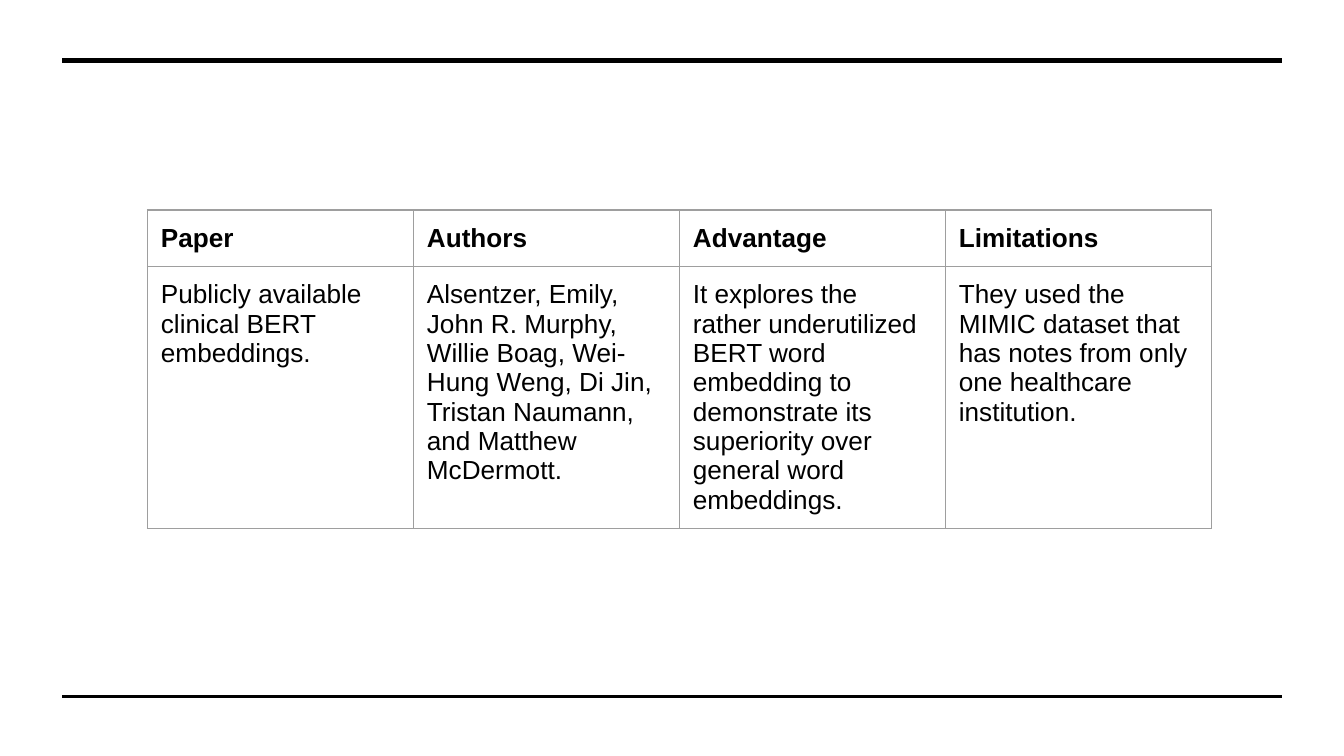
"""Build a slide with a paper review table between two rules."""
from lxml import etree
from pptx import Presentation, util as u
from pptx.dml.color import RGBColor
from pptx.enum import shapes, text
from pptx.oxml.ns import qn

HEADER = ["Paper", "Authors", "Advantage", "Limitations"]
REVIEW = [
    "Publicly available clinical BERT embeddings.",
    "Alsentzer, Emily, John R. Murphy, Willie Boag, Wei-Hung Weng, Di Jin, "
    "Tristan Naumann, and Matthew McDermott.",
    "It explores the rather underutilized BERT word embedding to demonstrate "
    "its superiority over general word embeddings.",
    "They used the MIMIC dataset that has notes from only one healthcare institution.",
]
ROWS = [HEADER, REVIEW]
THEME = {"font": "Arial", "size": 14, "ink": "000000", "border": "9E9E9E", "border_width": 0.75}

SLIDE_W, SLIDE_H = 720, 405
RULE_LEFT, RULE_RIGHT = 33.5, 686.75
RULES = [(373, 1.5), (32.5, 3)]
TABLE_LEFT, TABLE_TOP, COL_W = 79, 112.5, 142.5
ROW_HEIGHTS = [30.25, 140]
CELL_FORMAT = {f"margin_{side}": u.Pt(7.2) for side in ("left", "top", "right", "bottom")}
CELL_FORMAT["vertical_anchor"] = text.MSO_ANCHOR.TOP


def add_rule(s, y, width):
    sp = s.shapes.add_connector(shapes.MSO_CONNECTOR.STRAIGHT, u.Pt(RULE_LEFT), u.Pt(y),
                                u.Pt(RULE_RIGHT), u.Pt(y))
    sp.line.color.rgb = RGBColor.from_string(THEME["ink"])
    sp.line.width = u.Pt(width)
    etree.SubElement(sp._element.spPr, qn("a:effectLst"))


def add_borders(cell):
    tc_pr = cell._tc.get_or_add_tcPr()
    for i, side in enumerate(("lnL", "lnR", "lnT", "lnB")):
        ln = etree.Element(qn(f"a:{side}"), w=str(u.Pt(THEME["border_width"])))
        fill = etree.SubElement(ln, qn("a:solidFill"))
        etree.SubElement(fill, qn("a:srgbClr"), val=THEME["border"])
        tc_pr.insert(i, ln)


def fill_cell(cell, words, bold):
    for name, value in CELL_FORMAT.items():
        setattr(cell, name, value)
    cell.fill.background()
    add_borders(cell)
    r = cell.text_frame.paragraphs[0].add_run()
    r.text = words
    font = {"name": THEME["font"], "size": u.Pt(THEME["size"]), "bold": bold}
    for name, value in font.items():
        setattr(r.font, name, value)
    r.font.color.rgb = RGBColor.from_string(THEME["ink"])


def add_review_table(s):
    cols = len(HEADER)
    table = s.shapes.add_table(len(ROWS), cols, u.Pt(TABLE_LEFT), u.Pt(TABLE_TOP),
                               u.Pt(COL_W * cols), u.Pt(sum(ROW_HEIGHTS))).table
    table.horz_banding = False
    for col in table.columns:
        col.width = u.Pt(COL_W)
    for i, (row, height) in enumerate(zip(ROWS, ROW_HEIGHTS)):
        table.rows[i].height = u.Pt(height)
        for j, words in enumerate(row):
            fill_cell(table.cell(i, j), words, bold=i == 0)


def main():
    prs = Presentation()
    prs.slide_width, prs.slide_height = u.Pt(SLIDE_W), u.Pt(SLIDE_H)
    s = prs.slides.add_slide(prs.slide_layouts[6])
    for y, width in RULES:
        add_rule(s, y, width)
    add_review_table(s)
    prs.save("out.pptx")


if __name__ == "__main__":
    main()
